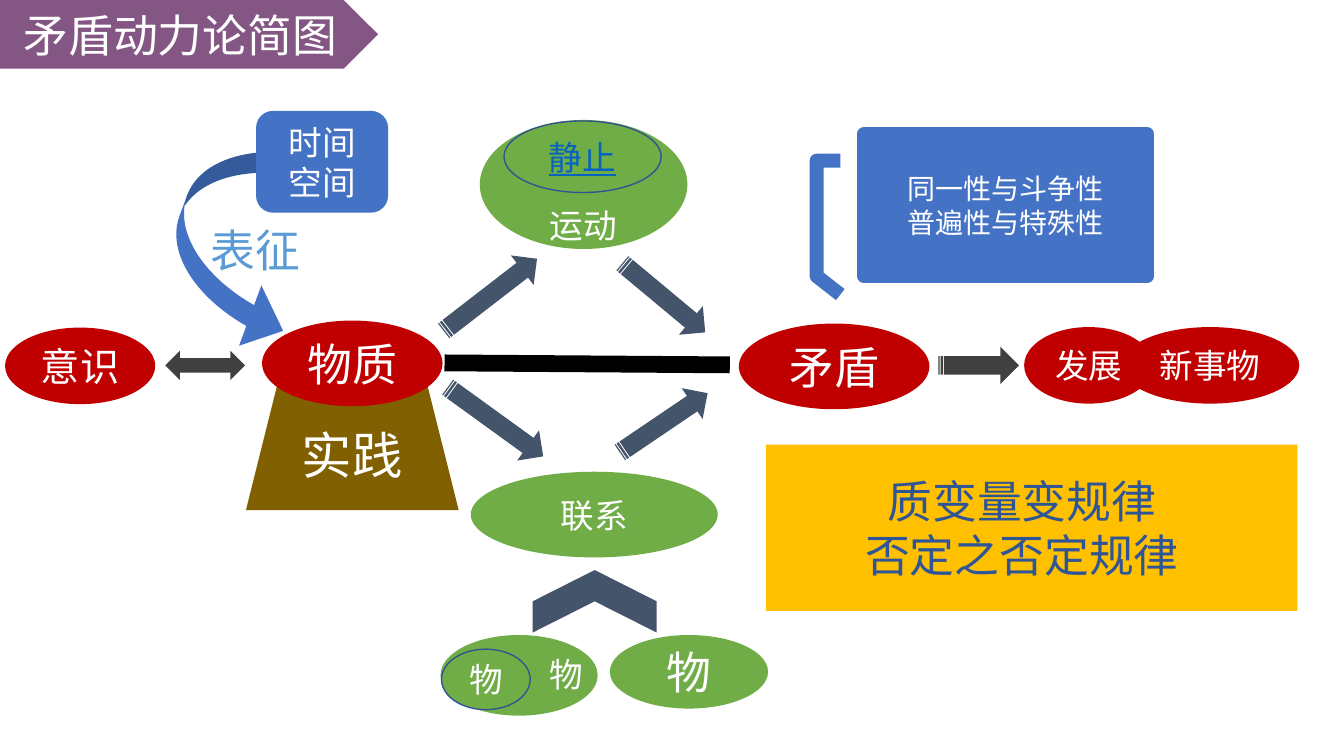
from lxml.etree import SubElement
from pptx import Presentation
from pptx.dml.color import RGBColor
from pptx.enum.shapes import MSO_CONNECTOR, MSO_SHAPE as Kind
from pptx.enum.text import MSO_ANCHOR, PP_ALIGN
from pptx.oxml.ns import qn
from pptx.util import Inches, Pt

# The grid has square cells of a tenth of an inch; parts are placed by centre.
CELL = 0.1
COLUMNS, ROWS = 133.33, 75
AXIS = 36.25
FONT, LABEL_FONT = "Noto Sans CJK SC", "Arial"
WHITE, RED, GREEN, BLUE = "FFFFFF", "C00000", "70AD47", "4472C4"
SLATE, GREY, NAVY, SKY = "44546A", "404040", "2F5597", "5B9BD5"
OUTLINE, LINK = "325491", "0563C1"
ARROW_HEIGHT = 3.7

# kind, (centre column, centre row, width, height), fill, text lines, size
BASE = [
    (Kind.TRAPEZOID, (34.95, 44.5, 21.1, 12.2), "806000", ["实践"], 36),
    (Kind.OVAL, (7.95, 36.3, 14.9, 7.6), RED, ["意识"], 28),
    (Kind.LEFT_RIGHT_ARROW, (20.35, AXIS, 7.9, 2.9), GREY, [], 0),
    (Kind.OVAL, (82.75, 36.35, 18.9, 8.5), RED, ["矛盾"], 32),
    (Kind.OVAL, (108, AXIS, 12.8, 7.6), RED, ["发展"], 24),
    (Kind.OVAL, (120.05, AXIS, 17.7, 7.6), RED, ["新事物"], 24),
    (Kind.OVAL, (58.95, 51.05, 24.5, 8.5), GREEN, ["联系"], 24),
    (Kind.OVAL, (51.5, 67, 15.6, 8), GREEN, [], 0),
    (Kind.OVAL, (68.35, 66.65, 15.7, 7.3), GREEN, ["物"], 32),
]
MOTION = (Kind.OVAL, (57.9, 18.3, 20.6, 12.8), GREEN, ["运动"], 24)
MOTION_TOP_MARGIN = 8
INNER_OVALS = [
    ((57.8, 15.55, 15.6, 7.1), "静止", LINK),
    ((48.2, 67.4, 8.8, 6), "物", WHITE),
]
# centre column, centre row, length, rotation, fill
STRIPED_ARROWS = [
    (65.85, 41.95, 10.5, -34.1, SLATE),
    (48.65, 29.25, 11.7, -37.7, SLATE),
    (65.85, 29.55, 10.7, 39.8, SLATE),
    (49.15, 41.85, 11.7, 35.9, SLATE),
    (97.1, AXIS, 8, 0, GREY),
]
CHEVRON = (Kind.CHEVRON, (59, 59.65, 6.2, 12.3), SLATE)
CURVED_ARROW = (Kind.CURVED_RIGHT_ARROW, (24.2, 23.75, 13.6, 20.7), BLUE)
CURVE_ADJUSTMENTS = (0.162, 0.469, 0.264)
FRONT = [
    (Kind.ROUNDED_RECTANGLE, (31.95, 16.05, 13.1, 10.1), BLUE, ["时间", "空间"], 24),
    (Kind.RECTANGLE, (102.35, 52.35, 52.7, 16.5), "FFC000", [], 0),
    (Kind.OVAL, (34.95, 36.05, 17.9, 8.5), RED, ["物质"], 32),
]
CALLOUT = (Kind.LINE_CALLOUT_3, (99.75, 20.35, 28.1, 14.1), BLUE,
           ["同一性与斗争性", "普遍性与特殊性"], 20)
# place, lines, size, colour, font, alignment
LABELS = [
    ((55.6, 66.9, 4.2, 5), ["物"], 24, WHITE, LABEL_FONT, PP_ALIGN.LEFT),
    ((25.35, 24.8, 18.5, 6.4), ["表征"], 32, SKY, LABEL_FONT, PP_ALIGN.CENTER),
    ((101.4, 52.4, 40, 11.8), ["质变量变规律", "否定之否定规律"], 32, NAVY, FONT,
     PP_ALIGN.CENTER),
]
TITLE = (Kind.PENTAGON, (18.75, 3.4, 37.5, 6.8), "5A1B58", ["矛盾动力论简图"], 32)
TITLE_ALPHA = 74
LINK_LINE = (44.1, 36, 72.4, 36.2)


def cells(count):
    return Inches(count * CELL)


def color(hex_text):
    return RGBColor.from_string(hex_text)


def frame(place):
    """Turn a centre and a size in cells into left, top, width, height."""
    column, row, width, height = place
    return [cells(n) for n in (column - width / 2, row - height / 2, width, height)]


def write(box, lines, size, ink=WHITE, font=FONT, align=PP_ALIGN.CENTER, underline=None):
    text = box.text_frame
    text.word_wrap = True
    text.text = "\n".join(lines)
    for para in text.paragraphs:
        para.alignment = align
        para.font.size = Pt(size)
        para.font.color.rgb = color(ink)
        para.font.underline = underline
        para.font.name = font
        defaults = para._p.pPr.find(qn("a:defRPr"))
        SubElement(defaults, qn("a:ea")).set("typeface", font)


def add_part(page, kind, place, fill, lines=(), size=0, line=None, weight=1, **style):
    part = page.shapes.add_shape(kind, *frame(place))
    part.shadow.inherit = False
    part.fill.solid()
    part.fill.fore_color.rgb = color(fill)
    if line:
        part.line.color.rgb = color(line)
        part.line.width = Pt(weight)
    else:
        part.line.fill.background()
    if lines:
        part.text_frame.vertical_anchor = MSO_ANCHOR.MIDDLE
        write(part, lines, size, **style)
    return part


def add_title(page):
    title = add_part(page, *TITLE)
    tint = title._element.spPr.find(qn("a:solidFill"))[0]
    SubElement(tint, qn("a:alpha")).set("val", str(TITLE_ALPHA * 1000))


def add_link_line(page):
    link = page.shapes.add_connector(MSO_CONNECTOR.STRAIGHT, *map(cells, LINK_LINE))
    link.line.color.rgb = color("000000")
    link.line.width = Pt(12)
    SubElement(link._element.spPr, qn("a:effectLst"))


def add_arrows(page):
    for column, row, length, angle, fill in STRIPED_ARROWS:
        place = (column, row, length, ARROW_HEIGHT)
        add_part(page, Kind.STRIPED_RIGHT_ARROW, place, fill).rotation = angle
    add_part(page, *CHEVRON).rotation = 270
    curve = add_part(page, *CURVED_ARROW)
    curve.rotation = 20.3
    for index, value in enumerate(CURVE_ADJUSTMENTS):
        curve.adjustments[index] = value


def main():
    deck = Presentation()
    deck.slide_width, deck.slide_height = cells(COLUMNS), cells(ROWS)
    page = deck.slides.add_slide(deck.slide_layouts[6])
    add_title(page)
    for part in BASE:
        add_part(page, *part)
    motion = add_part(page, *MOTION)
    motion.text_frame.margin_top = cells(MOTION_TOP_MARGIN)
    motion.text_frame.margin_bottom = 0
    for place, word, ink in INNER_OVALS:
        add_part(page, Kind.OVAL, place, GREEN, [word], 24, line=OUTLINE,
                 ink=ink, underline=True if ink == LINK else None)
    add_link_line(page)
    add_arrows(page)
    for part in FRONT:
        add_part(page, *part)
    add_part(page, *CALLOUT, line=BLUE, weight=10)
    for place, *content in LABELS:
        write(page.shapes.add_textbox(*frame(place)), *content)
    deck.save("out.pptx")


if __name__ == "__main__":
    main()
